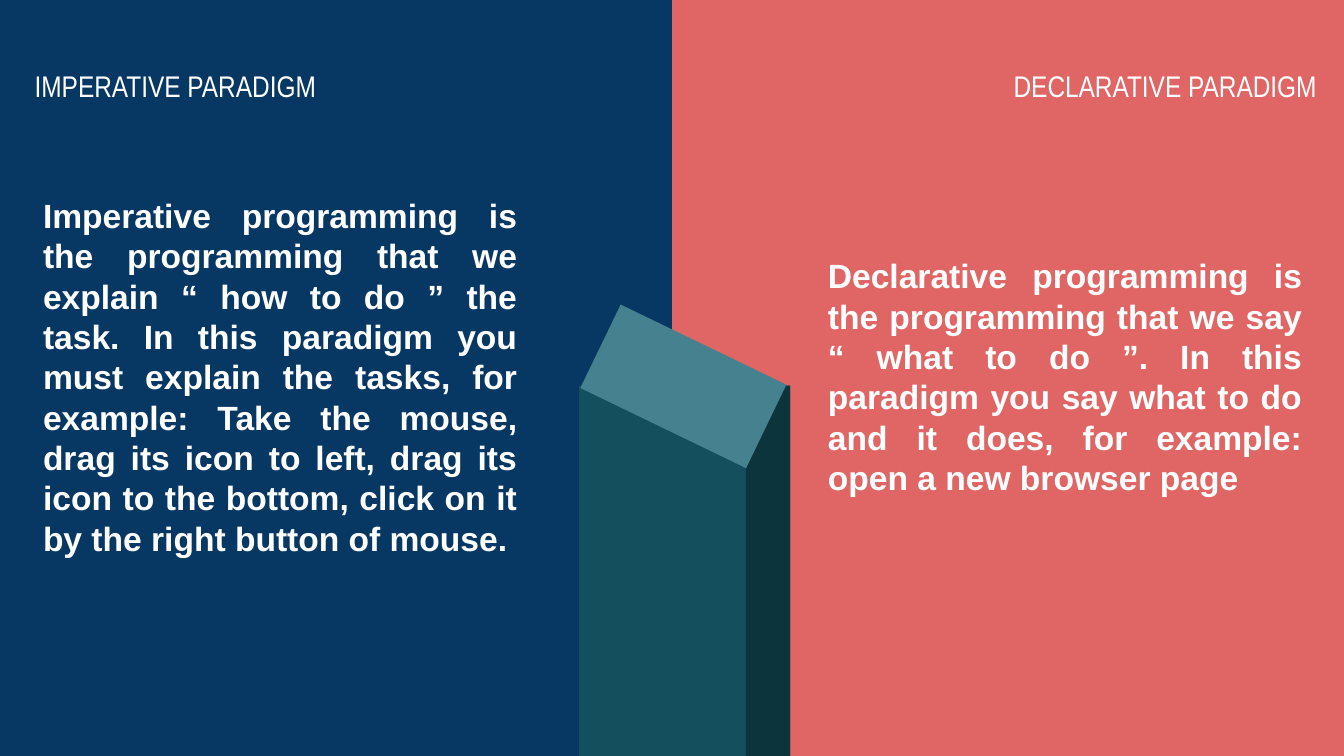
"""Build a slide that contrasts imperative and declarative programming."""
import pptx
import pptx.dml.color
import pptx.enum.shapes
import pptx.enum.text
import pptx.oxml.ns
import pptx.util
from lxml import etree

Inches = pptx.util.Inches
ALIGN = pptx.enum.text.PP_ALIGN


def color(hex_value):
    """Return the colour of a hex string."""
    return pptx.dml.color.RGBColor.from_string(hex_value)


def place(shape, left, top, width, height):
    """Move and size a shape, in inches."""
    shape.left, shape.top = Inches(left), Inches(top)
    shape.width, shape.height = Inches(width), Inches(height)


def add_block(slide, box, fill, rotation=0):
    """Add a plain filled rectangle."""
    block = slide.shapes.add_shape(
        pptx.enum.shapes.MSO_SHAPE.RECTANGLE, *map(Inches, box))
    block.shadow.inherit = False
    block.fill.solid()
    block.fill.fore_color.rgb = color(fill)
    block.line.fill.background()
    block.rotation = rotation


def fill_placeholder(slide, idx, box, text, align, font_name, size, bold):
    """Move a placeholder to the front and give it white, unbulleted text."""
    holder = slide.placeholders[idx]
    place(holder, *box)
    holder.element.getparent().append(holder.element)
    frame = holder.text_frame
    frame.text = text
    frame.word_wrap = True
    frame.auto_size = pptx.enum.text.MSO_AUTO_SIZE.SHAPE_TO_FIT_TEXT
    frame.vertical_anchor = pptx.enum.text.MSO_ANCHOR.TOP
    frame.margin_left = frame.margin_right = Inches(0.1)
    frame.margin_top = frame.margin_bottom = Inches(0.1)
    paragraph = frame.paragraphs[0]
    paragraph.alignment = align
    paragraph.space_before = pptx.util.Pt(0)
    paragraph.line_spacing = 1.0
    properties = paragraph._p.get_or_add_pPr()
    properties.set("marL", "0")
    properties.set("indent", "0")
    etree.SubElement(properties, pptx.oxml.ns.qn("a:buNone"))
    font = paragraph.runs[0].font
    font.name, font.size, font.bold = font_name, pptx.util.Pt(size), bold
    font.color.rgb = color("FFFFFF")


def add_heading(slide, idx, left, text):
    """Fill the heading of one paradigm."""
    fill_placeholder(slide, idx, (left, 0.4, 5.57, 0.47), text,
                     ALIGN.CENTER, "Arial Narrow", 16, False)


def add_explanation(slide, idx, box, text):
    """Fill the explanation of one paradigm."""
    fill_placeholder(slide, idx, box, text, ALIGN.JUSTIFY, "Arial", 18, True)


def main():
    """Build and save the slide."""
    deck = pptx.Presentation()
    deck.slide_width = Inches(10)
    deck.slide_height = deck.slide_width * 9 // 16
    slide = deck.slides.add_slide(deck.slide_layouts.get_by_name("Comparison"))
    title = slide.shapes.title.element
    title.getparent().remove(title)

    add_block(slide, (-0.01, 0, 5.01, 5.7), "073763")
    add_block(slide, (5, 0, 5.01, 5.7), "E06666")
    add_heading(slide, 1, -1.48, "IMPERATIVE PARADIGM")
    add_heading(slide, 3, 5.91, "DECLARATIVE PARADIGM ")

    add_block(slide, (4.31, 2.87, 1.57, 2.82), "134F5C")
    add_block(slide, (5.55, 2.87, 0.33, 2.82), "0C343D")
    add_block(slide, (4.4, 2.53, 1.37, 0.69), "45818E", 25.8)

    add_explanation(
        slide, 2, (0.22, 1.35, 3.73, 2.93),
        "Imperative programming is the programming that we explain “ how to do ” "
        "the task. In this paradigm you must explain the tasks, for example: Take "
        "the mouse, drag its icon to left, drag its icon to the bottom, click on it "
        "by the right button of mouse.")
    add_explanation(
        slide, 4, (6.06, 1.8, 3.73, 2.02),
        "Declarative programming is the programming that we say “ what to do ”. In "
        "this paradigm you say what to do and it does, for example: open a new "
        "browser page")
    deck.save("out.pptx")


if __name__ == "__main__":
    main()
